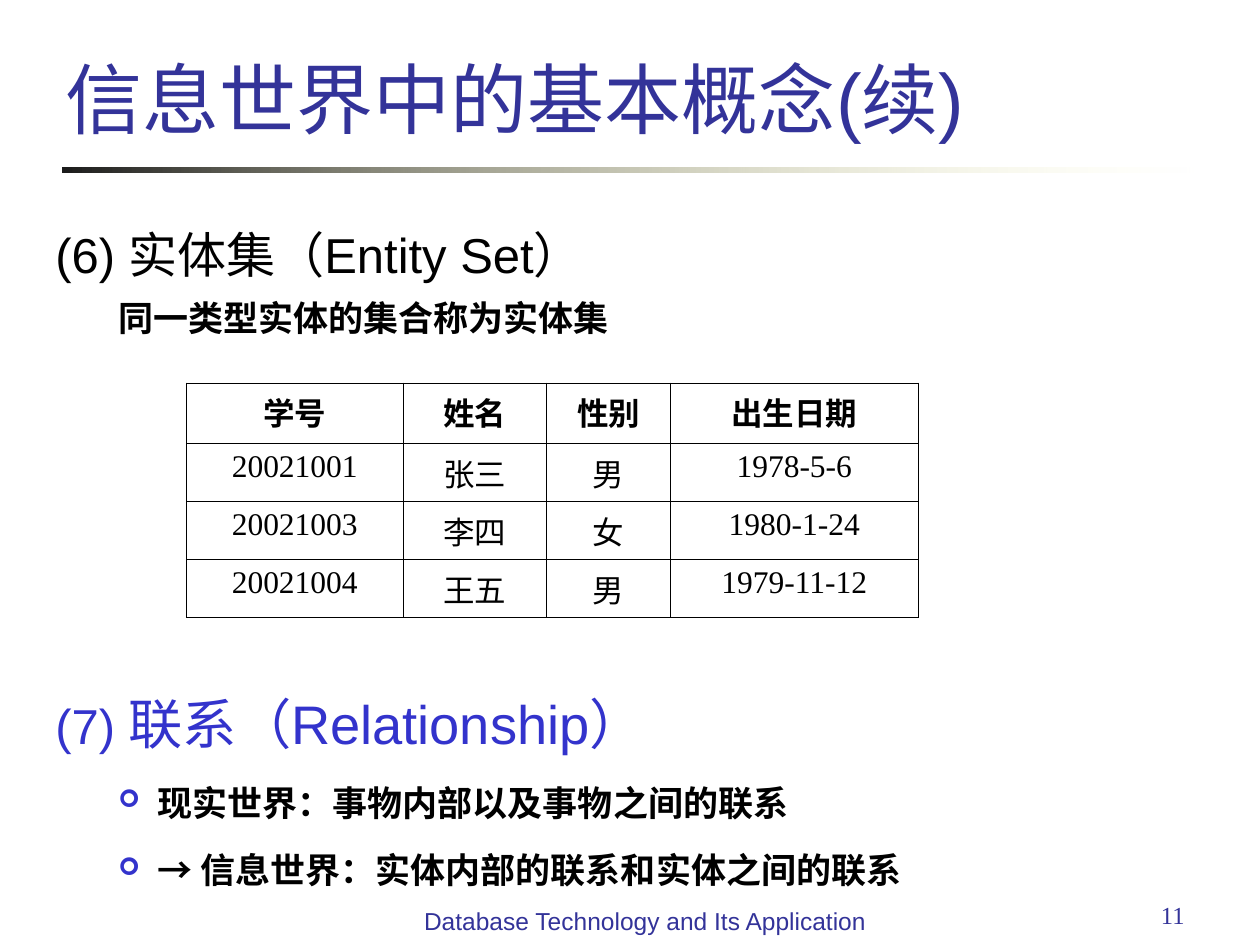
from dataclasses import dataclass

import pptx
import pptx.dml.color
import pptx.enum.shapes
import pptx.enum.text
import pptx.oxml
import pptx.oxml.ns
import pptx.util

Inches = pptx.util.Inches
Pt = pptx.util.Pt
RGB = pptx.dml.color.RGBColor.from_string
ALIGN = pptx.enum.text.PP_ALIGN
ANCHOR = pptx.enum.text.MSO_ANCHOR
NS = pptx.oxml.ns.nsdecls("a")


@dataclass(frozen=True)
class Theme:
    sans: str = "Arial"
    serif: str = "Times New Roman"
    symbol: str = "Wingdings"
    ink: str = "000000"
    navy: str = "333399"
    accent: str = "3333CC"
    rule_start: str = "1C1C1C"
    rule_end: str = "FFFFB7"
    title: int = 44
    relation: int = 31
    heading: int = 28
    body: int = 20
    cell: int = 18
    footer: int = 14


THEME = Theme()


def add_run(p, text, size=THEME.body, color=THEME.ink, font=THEME.sans, bold=False):
    r = p.add_run()
    r.text = text
    r.font.size = Pt(size)
    r.font.name = font
    r.font.bold = bold
    r.font.color.rgb = RGB(color)


def format_paragraph(p, align=ALIGN.LEFT, spacing=1.0, before=0, margin=0, indent=0):
    p.alignment = align
    p.line_spacing = spacing
    p.space_before = Pt(before)
    pPr = p._p.get_or_add_pPr()
    pPr.set("marL", str(Inches(margin)))
    pPr.set("indent", str(Inches(indent)))
    return p


def add_bullet(p, char):
    pPr = p._p.get_or_add_pPr()
    for xml in (
        f'<a:buClr {NS}><a:srgbClr val="{THEME.accent}"/></a:buClr>',
        f'<a:buSzPct {NS} val="70000"/>',
        f'<a:buFont {NS} typeface="{THEME.symbol}" charset="2"/>',
        f'<a:buChar {NS} char="{char}"/>',
    ):
        pPr.append(pptx.oxml.parse_xml(xml))


def add_box(s, left, top, width, height):
    sp = s.shapes.add_textbox(Inches(left), Inches(top), Inches(width), Inches(height))
    tf = sp.text_frame
    tf.word_wrap = True
    return tf


def add_heading(tf, spacing, before):
    return format_paragraph(tf.paragraphs[0], ALIGN.JUSTIFY, spacing, before, 0.38, -0.38)


def add_detail(tf, text, spacing, bullet=None):
    p = format_paragraph(tf.add_paragraph(), ALIGN.JUSTIFY, spacing, 5, 0.81, -0.31)
    if bullet:
        add_bullet(p, bullet)
    add_run(p, text, bold=True)


def add_title(s, text):
    sp = s.shapes.title
    sp.left, sp.top, sp.width, sp.height = map(Inches, (0.42, 0.01, 8.78, 1.18))
    tf = sp.text_frame
    tf.word_wrap = True
    tf.vertical_anchor = ANCHOR.BOTTOM
    p = format_paragraph(tf.paragraphs[0])
    add_run(p, text, size=THEME.title, color=THEME.navy)


def add_rule(s):
    sp = s.shapes.add_shape(
        pptx.enum.shapes.MSO_SHAPE.RECTANGLE, Inches(0.5), Inches(1.33), Inches(9), Inches(0.04)
    )
    sp.shadow.inherit = False
    sp.line.fill.background()
    sp.fill.gradient()
    sp.fill.gradient_angle = 0
    first, last = sp.fill.gradient_stops
    first.color.rgb, first.position = RGB(THEME.rule_start), 0
    last.color.rgb, last.position = RGB(THEME.rule_end), 1
    clear = sp._element.findall(".//" + pptx.oxml.ns.qn("a:srgbClr"))[-1]
    clear.append(pptx.oxml.parse_xml(f'<a:alpha {NS} val="0"/>'))


def add_borders(cell):
    tcPr = cell._tc.get_or_add_tcPr()
    for side in "LRTB":
        tcPr.append(pptx.oxml.parse_xml(
            f'<a:ln{side} {NS} w="{Pt(0.45)}"><a:solidFill>'
            f'<a:srgbClr val="{THEME.ink}"/></a:solidFill></a:ln{side}>'
        ))


def add_student_table(s, rows):
    widths = (1.72, 1.14, 0.98, 1.97)
    heights = (0.48, 0.46, 0.46, 0.46)
    table = s.shapes.add_table(
        len(rows), len(widths), Inches(1.48), Inches(3.04), Inches(sum(widths)), Inches(sum(heights))
    ).table
    table.first_row = False
    table.horz_banding = False
    for col, width in zip(table.columns, widths):
        col.width = Inches(width)
    for i, values in enumerate(rows):
        table.rows[i].height = Inches(heights[i])
        for j, value in enumerate(values):
            cell = table.cell(i, j)
            add_borders(cell)
            cell.fill.background()
            p = format_paragraph(cell.text_frame.paragraphs[0], ALIGN.CENTER)
            add_run(p, value, size=THEME.cell, font=THEME.serif, bold=i == 0)


def add_footer(s, text, box, align, font):
    p = format_paragraph(add_box(s, *box).paragraphs[0], align)
    add_run(p, text, size=THEME.footer, color=THEME.navy, font=font)


def main():
    prs = pptx.Presentation()
    prs.slide_width, prs.slide_height = Inches(10), Inches(7.5)
    s = prs.slides.add_slide(prs.slide_layouts[5])
    add_rule(s)
    add_title(s, "信息世界中的基本概念(续)")

    tf = add_box(s, 0.34, 1.5, 9.38, 1.4)
    add_run(add_heading(tf, 1.5, 7), "(6) 实体集（Entity Set）", size=THEME.heading)
    add_detail(tf, "同一类型实体的集合称为实体集", 1.1)

    add_student_table(s, (
        ("学号", "姓名", "性别", "出生日期"),
        ("20021001", "张三", "男", "1978-5-6"),
        ("20021003", "李四", "女", "1980-1-24"),
        ("20021004", "王五", "男", "1979-11-12"),
    ))

    tf = add_box(s, 0.34, 5.38, 9.38, 1.76)
    p = add_heading(tf, 1.1, 9)
    add_run(p, "(7) ", size=THEME.heading, color=THEME.accent)
    add_run(p, "联系（Relationship）", size=THEME.relation, color=THEME.accent)
    for text in (
        "现实世界：事物内部以及事物之间的联系",
        "→ 信息世界：实体内部的联系和实体之间的联系",
    ):
        add_detail(tf, text, 1.4, bullet="➢")

    add_footer(s, "11", (7.17, 7.09, 2.33, 0.52), ALIGN.RIGHT, THEME.serif)
    add_footer(s, "Database Technology and Its Application", (3.19, 7.14, 3.86, 0.52),
               ALIGN.CENTER, THEME.sans)
    prs.save("out.pptx")


if __name__ == "__main__":
    main()
